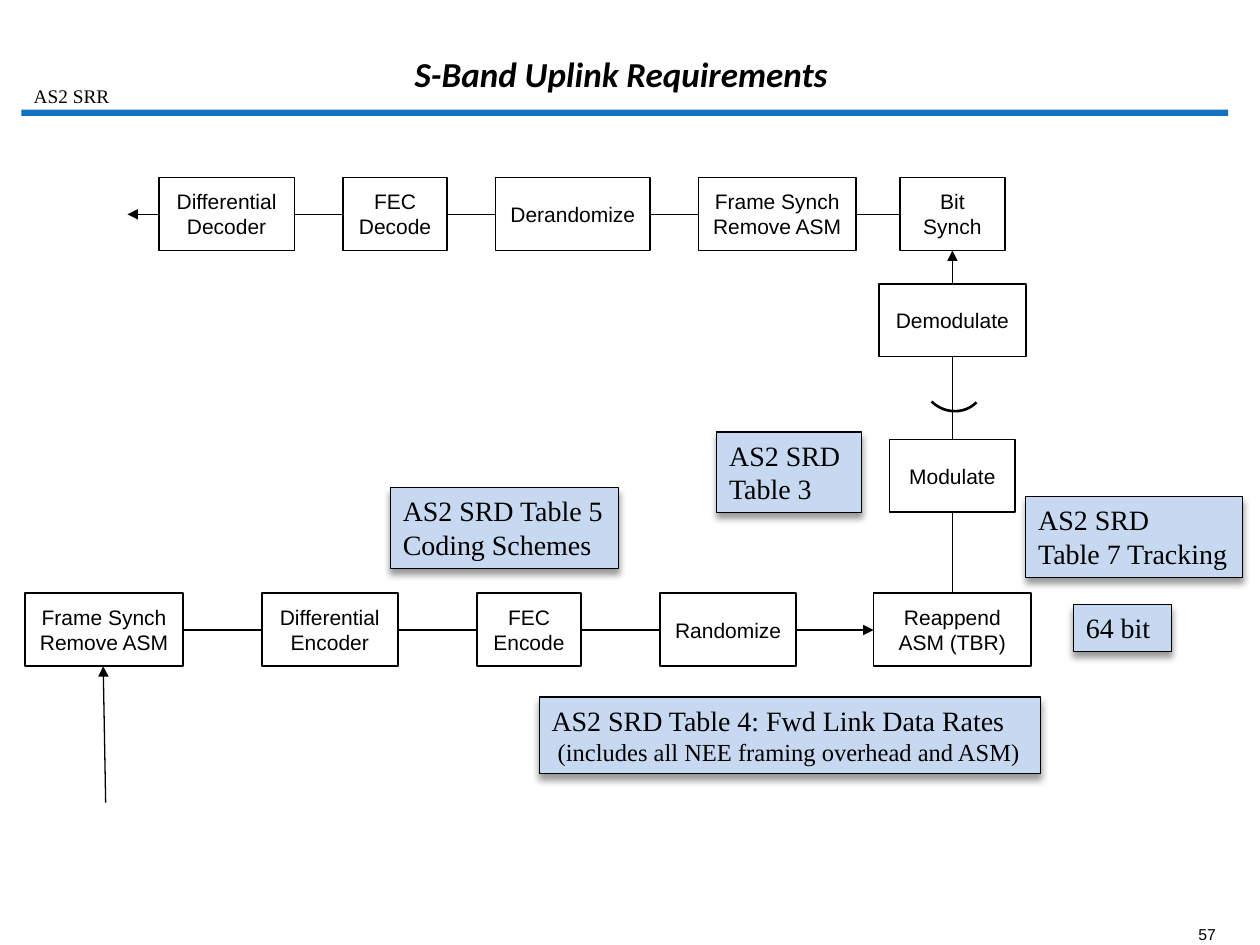
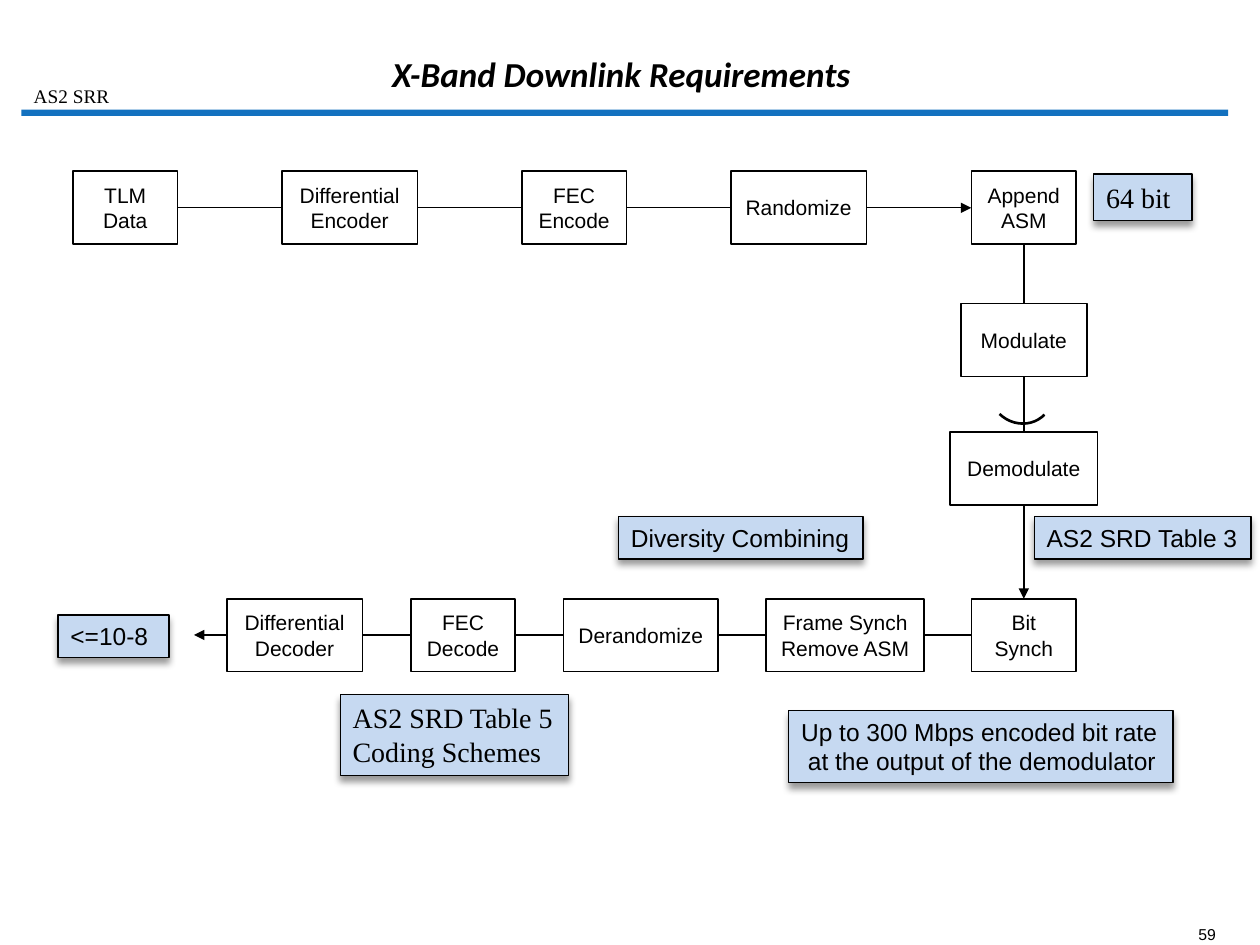
from dataclasses import dataclass

from lxml import etree
from pptx import Presentation
from pptx.dml.color import RGBColor
from pptx.enum.shapes import MSO_CONNECTOR, MSO_SHAPE
from pptx.enum.text import MSO_ANCHOR, MSO_AUTO_SIZE, PP_ALIGN
from pptx.oxml import parse_xml
from pptx.oxml.ns import nsdecls, qn
from pptx.util import Cm, Pt

BLACK = RGBColor(0x00, 0x00, 0x00)
WHITE = RGBColor(0xFF, 0xFF, 0xFF)
BAND_BLUE = RGBColor(0x13, 0x71, 0xBF)
NOTE_BLUE = RGBColor(0xC6, 0xD9, 0xF1)

SANS, SERIF, TITLE_FONT = "Arial", "Times New Roman", "Calibri"
BLOCK_HEIGHT = 1.47

NOTE_SHADOW = (
    f'<a:effectLst {nsdecls("a")}>'
    '<a:outerShdw blurRad="50800" dist="38100" dir="5400000" algn="t" rotWithShape="0">'
    '<a:srgbClr val="000000"><a:alpha val="40000"/></a:srgbClr>'
    "</a:outerShdw></a:effectLst>"
)


@dataclass(frozen=True)
class Block:
    label: str
    width: float


@dataclass(frozen=True)
class Row:
    """Blocks set out from the left with equal gaps (lengths in cm)."""
    left: float
    top: float
    gap: float
    blocks: tuple[Block, ...]


@dataclass(frozen=True)
class Column:
    """Blocks centred on one vertical line, as (top, block)."""
    centre: float
    blocks: tuple[tuple[float, Block], ...]


@dataclass(frozen=True)
class Arrow:
    start: tuple[float, float]
    end: tuple[float, float]


@dataclass(frozen=True)
class Note:
    left: float
    top: float
    width: float
    height: float
    text: str
    font: str = SERIF
    sizes: tuple[int, ...] = (16, 16)


@dataclass(frozen=True)
class Diagram:
    title: str
    number: str
    rows: tuple[Row, ...]
    column: Column
    arrows: tuple[Arrow, ...]
    antenna: tuple[float, float]
    notes: tuple[Note, ...]


DIFFERENTIAL_ENCODER = Block("Differential\nEncoder", 2.74)
DIFFERENTIAL_DECODER = Block("Differential\nDecoder", 2.74)
FEC_ENCODE = Block("FEC\nEncode", 2.11)
FEC_DECODE = Block("FEC\nDecode", 2.11)
RANDOMIZE = Block("Randomize", 2.74)
DERANDOMIZE = Block("Derandomize", 3.12)
FRAME_SYNCH = Block("Frame Synch\nRemove ASM", 3.18)
BIT_SYNCH = Block("Bit Synch", 2.11)
MODULATE = Block("Modulate", 2.54)
DEMODULATE = Block("Demodulate", 2.97)

ENCODING = (DIFFERENTIAL_ENCODER, FEC_ENCODE, RANDOMIZE)
DECODING = (DIFFERENTIAL_DECODER, FEC_DECODE, DERANDOMIZE, FRAME_SYNCH)
CODING_SCHEMES = "AS2 SRD Table 5\nCoding Schemes"

DIAGRAMS = (
    Diagram(
        title="S-Band Uplink Requirements",
        number="57",
        rows=(
            Row(3.2, 3.58, 0.97, DECODING),
            Row(0.51, 11.96, 1.59, (FRAME_SYNCH, *ENCODING)),
        ),
        column=Column(19.2, (
            (3.58, BIT_SYNCH),
            (5.72, DEMODULATE),
            (8.86, MODULATE),
            (11.96, Block("Reappend ASM (TBR)", 3.18)),
        )),
        arrows=(
            Arrow((19.2, 11.96), (19.2, 5.05)),
            Arrow((3.69, 12.7), (17.61, 12.7)),
            Arrow((2.13, 16.18), (2.08, 13.43)),
            Arrow((18.15, 4.32), (2.57, 4.32)),
        ),
        antenna=(18.59, 6.99),
        notes=(
            Note(14.45, 8.71, 2.92, 1.63, "AS2 SRD\nTable 3"),
            Note(20.68, 10.01, 4.37, 1.63, "AS2 SRD\nTable 7 Tracking"),
            Note(10.87, 14.05, 10.11, 1.55,
                 "AS2 SRD Table 4: Fwd Link Data Rates\n"
                 " (includes all NEE framing overhead and ASM)", sizes=(16, 14)),
            Note(21.64, 12.19, 1.98, 0.94, "64 bit"),
            Note(7.87, 9.83, 4.6, 1.63, CODING_SCHEMES),
        ),
    ),
    Diagram(
        title="X-Band Downlink Requirements",
        number="59",
        rows=(
            Row(1.47, 3.45, 2.1, (Block("TLM\nData", 2.11), *ENCODING)),
            Row(4.57, 12.07, 0.97, DECODING),
        ),
        column=Column(20.64, (
            (3.45, Block("Append\nASM", 2.11)),
            (6.12, MODULATE),
            (8.71, DEMODULATE),
            (12.07, BIT_SYNCH),
        )),
        arrows=(
            Arrow((19.58, 12.8), (3.91, 12.8)),
            Arrow((20.64, 4.92), (20.64, 12.07)),
            Arrow((3.58, 4.19), (19.58, 4.19)),
        ),
        antenna=(19.96, 7.24),
        notes=(
            Note(15.9, 14.33, 7.75, 1.45,
                 "Up to 300 Mbps encoded bit rate\n at the output of the demodulator",
                 SANS, (14, 14)),
            Note(12.47, 10.41, 4.93, 0.86, "Diversity Combining", SANS, (14,)),
            Note(20.85, 10.41, 4.37, 0.86, "AS2 SRD Table 3", SANS, (14,)),
            Note(1.17, 12.4, 2.24, 0.86, "<=10-8", SANS, (14,)),
            Note(22.05, 3.51, 1.98, 0.94, "64 bit"),
            Note(6.86, 14, 4.6, 1.63, CODING_SCHEMES),
        ),
    ),
)


def apply(target, formats: dict) -> None:
    for name, value in formats.items():
        setattr(target, name, value)


def write(frame, text: str, font: str, sizes: tuple[int, ...], align=PP_ALIGN.LEFT, **style) -> None:
    """Fill a text frame, one paragraph a line, each with its own size."""
    frame.text = text
    for para, size in zip(frame.paragraphs, sizes):
        para.alignment = align
        apply(para.font, {"name": font, "size": Pt(size), **style})
        para.font.color.rgb = BLACK


def add_rectangle(slide, left: float, top: float, width: float, height: float,
                  fill: RGBColor, line_width: float = 0):
    box = slide.shapes.add_shape(MSO_SHAPE.RECTANGLE, Cm(left), Cm(top), Cm(width), Cm(height))
    box.shadow.inherit = False
    box.fill.solid()
    box.fill.fore_color.rgb = fill
    if line_width:
        box.line.color.rgb = BLACK
        box.line.width = Pt(line_width)
    else:
        box.line.fill.background()
    return box


def add_label(slide, left: float, top: float, width: float, height: float):
    frame = slide.shapes.add_textbox(Cm(left), Cm(top), Cm(width), Cm(height)).text_frame
    apply(frame, {"word_wrap": False, "auto_size": MSO_AUTO_SIZE.SHAPE_TO_FIT_TEXT})
    return frame


def add_block(slide, block: Block, left: float, top: float) -> None:
    box = add_rectangle(slide, left, top, block.width, BLOCK_HEIGHT, WHITE, 1)
    apply(box.text_frame, {"word_wrap": True, "vertical_anchor": MSO_ANCHOR.MIDDLE})
    write(box.text_frame, block.label, SANS, (12, 12), PP_ALIGN.CENTER)


def add_row(slide, row: Row) -> None:
    left = row.left
    for block in row.blocks:
        add_block(slide, block, left, row.top)
        left += block.width + row.gap


def add_column(slide, column: Column) -> None:
    for top, block in column.blocks:
        add_block(slide, block, column.centre - block.width / 2, top)


def add_arrow(slide, arrow: Arrow) -> None:
    points = [Cm(value) for value in (*arrow.start, *arrow.end)]
    connector = slide.shapes.add_connector(MSO_CONNECTOR.STRAIGHT, *points)
    connector.line.color.rgb = BLACK
    connector.line.width = Pt(0.75)
    properties = connector._element.spPr
    etree.SubElement(properties.find(qn("a:ln")), qn("a:tailEnd"), type="triangle")
    etree.SubElement(properties, qn("a:effectLst"))


def add_antenna(slide, left: float, top: float) -> None:
    arc = slide.shapes.add_shape(MSO_SHAPE.ARC, Cm(left), Cm(top), Cm(1.24), Cm(1.32))
    arc.shadow.inherit = False
    arc.rotation = 134.1
    arc.fill.background()
    arc.line.color.rgb = BLACK
    arc.line.width = Pt(1.5)


def add_note(slide, note: Note) -> None:
    box = add_rectangle(slide, note.left, note.top, note.width, note.height, NOTE_BLUE, 0.75)
    properties = box._element.spPr
    properties.replace(properties.find(qn("a:effectLst")), parse_xml(NOTE_SHADOW))
    apply(box.text_frame, {
        "word_wrap": False,
        "auto_size": MSO_AUTO_SIZE.SHAPE_TO_FIT_TEXT,
        "vertical_anchor": MSO_ANCHOR.TOP,
    })
    write(box.text_frame, note.text, note.font, note.sizes)


def add_frame(slide, title: str, number: str) -> None:
    """Set the title, the band under it, the review tag and the page number."""
    heading = slide.shapes.title
    apply(heading, {"left": Cm(3.38), "top": Cm(0.33), "width": Cm(18.29), "height": Cm(1.7)})
    apply(heading.text_frame, {
        "word_wrap": True,
        "auto_size": MSO_AUTO_SIZE.NONE,
        "vertical_anchor": MSO_ANCHOR.BOTTOM,
    })
    write(heading.text_frame, title, TITLE_FONT, (20,), PP_ALIGN.CENTER, bold=True, italic=True)

    add_rectangle(slide, 0.43, 2.21, 24.33, 0.13, BAND_BLUE)
    write(add_label(slide, 0.43, 1.57, 2.06, 0.74), "AS2 SRR", SERIF, (11,))
    page_number = add_label(slide, 24.13, 18.64, 0.38, 0.38)
    apply(page_number, dict.fromkeys(
        ("margin_left", "margin_top", "margin_right", "margin_bottom"), 0))
    write(page_number, number, SANS, (9,), PP_ALIGN.RIGHT)


def add_diagram(deck, diagram: Diagram) -> None:
    slide = deck.slides.add_slide(deck.slide_layouts.get_by_name("Title Only"))
    add_frame(slide, diagram.title, diagram.number)
    for arrow in diagram.arrows:
        add_arrow(slide, arrow)
    for row in diagram.rows:
        add_row(slide, row)
    add_column(slide, diagram.column)
    add_antenna(slide, *diagram.antenna)
    for note in diagram.notes:
        add_note(slide, note)


def main() -> None:
    deck = Presentation()
    apply(deck, {"slide_width": Cm(25.4), "slide_height": Cm(19.05)})
    for diagram in DIAGRAMS:
        add_diagram(deck, diagram)
    deck.save("out.pptx")


if __name__ == "__main__":
    main()
